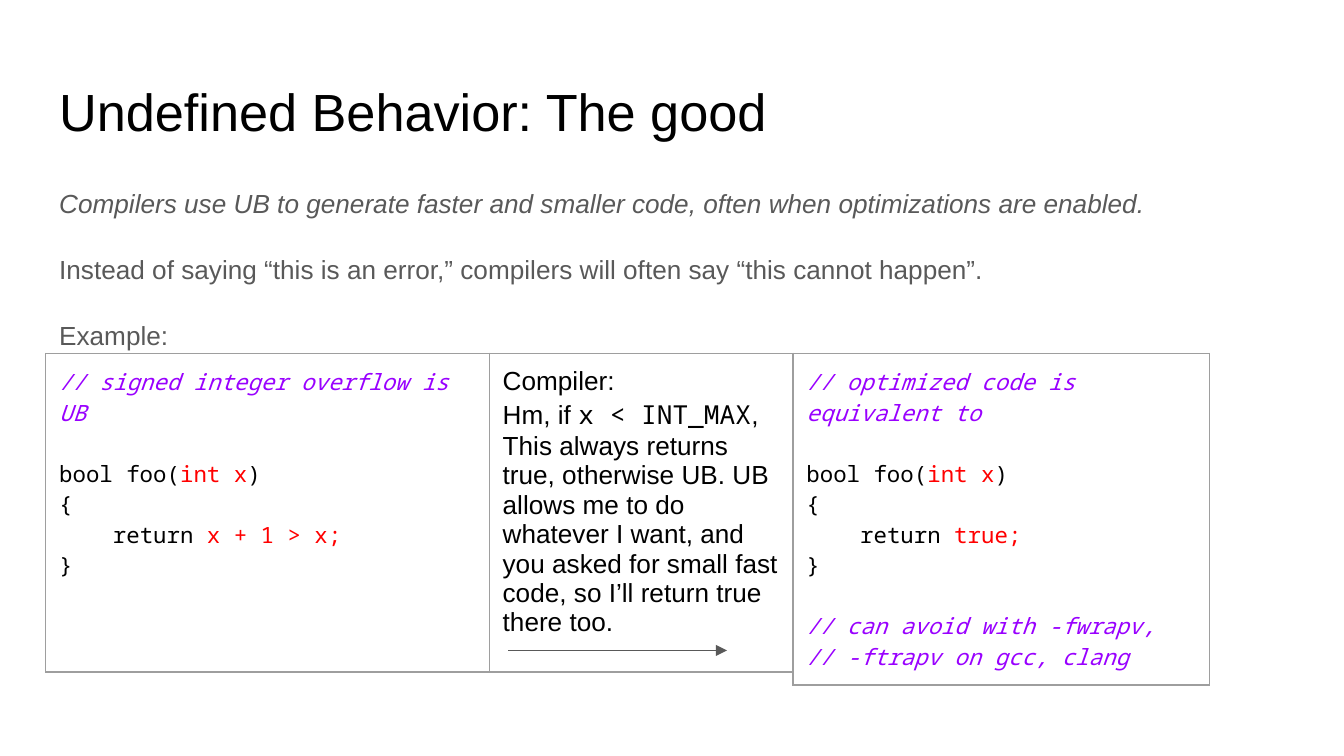
from dataclasses import dataclass

from lxml.etree import SubElement
from pptx import Presentation
from pptx.dml.color import RGBColor
from pptx.enum.shapes import MSO_CONNECTOR as Connector
from pptx.enum.text import MSO_ANCHOR as Anchor, MSO_AUTO_SIZE as AutoSize, PP_ALIGN as Align
from pptx.oxml import parse_xml
from pptx.oxml.ns import nsdecls, qn
from pptx.util import Inches, Pt

SLIDE_WIDTH = Inches(10)
SLIDE_HEIGHT = SLIDE_WIDTH * 9 // 16
SANS, MONO = "Arial", "Noto Sans Mono"
BLACK, GRAY, RED, PURPLE, BORDER = "000000", "595959", "FF0000", "9900FF", "9E9E9E"
PANEL_TOP, PANEL_HEIGHT = 2.63, 2.37
CODE_LINE = 16.3
CODE_INDENT = 0.4


@dataclass
class Run:
    text: str
    color: str = BLACK
    font: str = MONO
    size: float = 12
    italic: bool = False


@dataclass
class Line:
    runs: list[Run]
    before: float = 0
    after: float = 0
    indent: float = 0
    spacing: float = 1.0


@dataclass
class Panel:
    left: float
    width: float
    lines: list[Line]


def rgb(color: str) -> RGBColor:
    return RGBColor.from_string(color)


def add_text(paragraph, text: str, *, color: str, font: str, size: float, italic: bool) -> None:
    run = paragraph.add_run()
    run.text = text
    run.font.name = font
    run.font.size = Pt(size)
    run.font.bold = False
    run.font.italic = italic
    run.font.color.rgb = rgb(color)


def write_lines(frame, lines: list[Line]) -> None:
    frame.word_wrap = True
    for index, line in enumerate(lines):
        paragraph = frame.add_paragraph() if index else frame.paragraphs[0]
        paragraph.alignment = Align.LEFT
        paragraph.line_spacing = line.spacing
        paragraph.space_before = Pt(line.before)
        paragraph.space_after = Pt(line.after)
        properties = paragraph._p.get_or_add_pPr()
        properties.set("marL", str(Inches(line.indent)))
        properties.set("indent", "0")
        SubElement(properties, qn("a:buNone"))
        for run in line.runs:
            add_text(paragraph, run.text, color=run.color, font=run.font,
                     size=run.size, italic=run.italic)


def fill_placeholder(shape, top: float, height: float, lines: list[Line]) -> None:
    shape.left, shape.top = Inches(0.34), Inches(top)
    shape.width, shape.height = Inches(9.32), Inches(height)
    frame = shape.text_frame
    frame.auto_size = AutoSize.NONE
    frame.vertical_anchor = Anchor.TOP
    frame.margin_left = frame.margin_right = Inches(0.1)
    frame.margin_top = frame.margin_bottom = Inches(0.1)
    write_lines(frame, lines)


def add_panel(slide, panel: Panel) -> None:
    table = slide.shapes.add_table(1, 1, Inches(panel.left), Inches(PANEL_TOP),
                                   Inches(panel.width), Inches(PANEL_HEIGHT)).table
    table.first_row = table.horz_banding = False
    cell = table.cell(0, 0)
    cell.margin_left = cell.margin_right = Inches(0.1)
    cell.margin_top = cell.margin_bottom = Inches(0.1)
    cell.fill.background()
    properties = cell._tc.get_or_add_tcPr()
    for index, side in enumerate("LRTB"):
        properties.insert(index, parse_xml(
            f'<a:ln{side} {nsdecls("a")} w="{Pt(0.75)}"><a:solidFill>'
            f'<a:srgbClr val="{BORDER}"/></a:solidFill></a:ln{side}>'))
    write_lines(cell.text_frame, panel.lines)


def add_arrow(slide, start: float, end: float, top: float) -> None:
    arrow = slide.shapes.add_connector(Connector.STRAIGHT, Inches(start), Inches(top),
                                       Inches(end), Inches(top))
    arrow.line.color.rgb = rgb(GRAY)
    arrow.line.width = Pt(0.75)
    SubElement(arrow.line._get_or_add_ln(), qn("a:tailEnd"), type="triangle")
    SubElement(arrow._element.spPr, qn("a:effectLst"))


def body_line(text: str, italic: bool = False, **spacing: float) -> Line:
    return Line([Run(text, GRAY, SANS, 14, italic)], spacing=1.15, **spacing)


def comment(text: str, before: float = 0) -> Line:
    return Line([Run(text, PURPLE, italic=True)], before=before)


def function_lines(result: str) -> list[Line]:
    return [
        Line([Run("bool foo("), Run("int x", RED), Run(")")], before=CODE_LINE),
        Line([Run("{")]),
        Line([Run("return "), Run(result, RED)], indent=CODE_INDENT),
        Line([Run("}")]),
    ]


def prose(text: str, font: str = SANS) -> Run:
    return Run(text, font=font, size=14)


PANELS = [
    Panel(0.34, 3.3, [comment("// signed integer overflow is UB"),
                      *function_lines("x + 1 > x;")]),
    Panel(3.64, 2.26, [
        Line([prose("Compiler:")]),
        Line([prose("Hm, if "), prose("x < INT_MAX", MONO), prose(",")]),
        Line([prose("This always returns true, otherwise UB. UB allows me to do whatever I want, "
                    "and you asked for small fast code, so I’ll return true there too.")]),
    ]),
    Panel(5.9, 3.1, [comment("// optimized code is equivalent to"),
                     *function_lines("true;"),
                     comment("// can avoid with -fwrapv,", before=CODE_LINE),
                     comment("// -ftrapv on gcc, clang")]),
]


def main() -> None:
    presentation = Presentation()
    presentation.slide_width, presentation.slide_height = SLIDE_WIDTH, SLIDE_HEIGHT
    slide = presentation.slides.add_slide(presentation.slide_layouts[1])
    fill_placeholder(slide.shapes.title, 0.49, 0.63,
                     [Line([Run("Undefined Behavior: The good", BLACK, SANS, 28)])])
    fill_placeholder(slide.placeholders[1], 1.26, 3.74, [
        body_line("Compilers use UB to generate faster and smaller code, "
                  "often when optimizations are enabled.", italic=True),
        body_line("Instead of saying “this is an error,” compilers will often say "
                  "“this cannot happen”.", before=16),
        body_line("Example:", before=16, after=16),
    ])
    for panel in PANELS:
        add_panel(slide, panel)
    add_arrow(slide, 3.78, 5.41, 4.84)
    presentation.save("out.pptx")


main()
